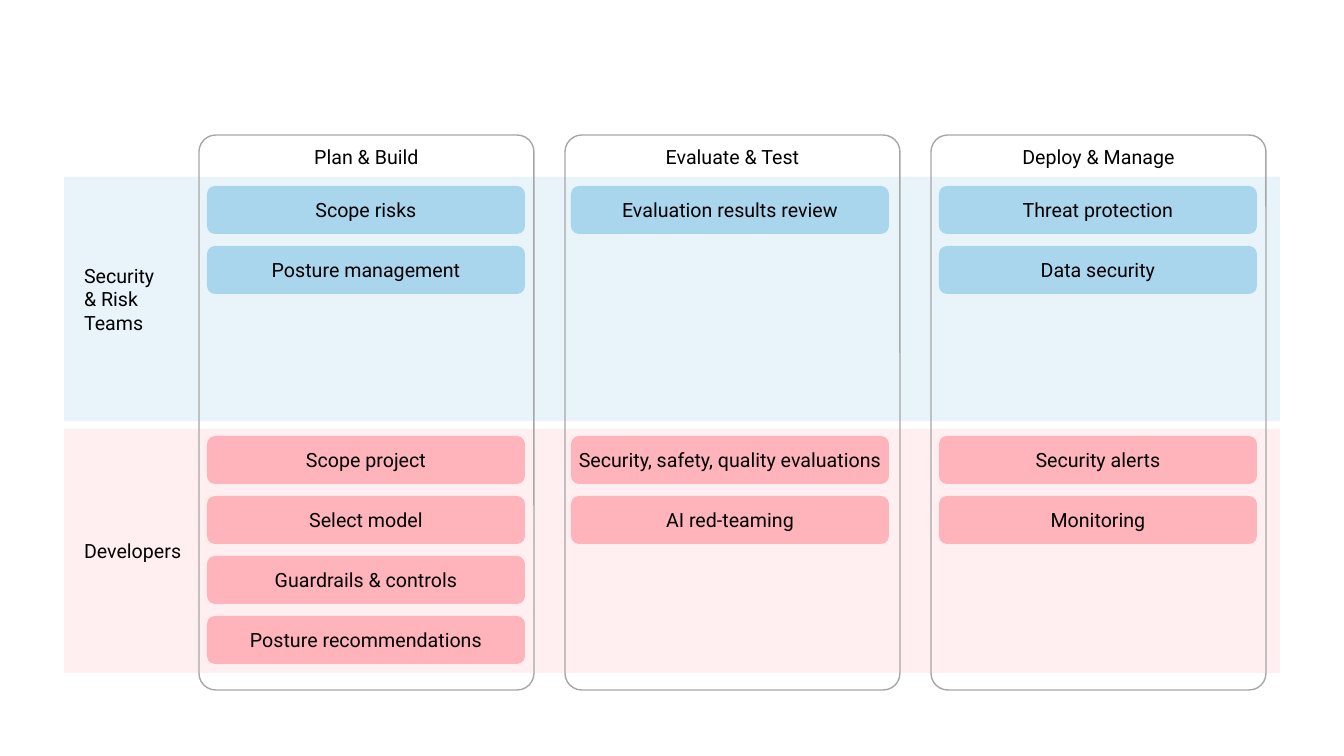
from dataclasses import dataclass
from typing import NamedTuple

from lxml import etree
from pptx import Presentation
from pptx import util as u
from pptx.dml.color import RGBColor
from pptx.enum import shapes, text
from pptx.oxml.ns import qn

PX = 914400 / 100.8


@dataclass(frozen=True)
class Theme:
    ink: str = "000000"
    outline: str = "A6A6A6"
    outline_pt: int = 1
    font: str = "Roboto"
    text_pt: int = 14
    band_alpha: int = 20


class Box(NamedTuple):
    left: int
    top: int
    width: int
    height: int


class Team(NamedTuple):
    label: str
    band_color: str
    card_color: str
    card_inset: int


class Phase(NamedTuple):
    title: str
    card_inset: int
    tasks: tuple[tuple[str, ...], ...]  # one group per team


THEME = Theme()
BAND = Box(64, 177, 1216, 244)
BAND_PITCH = 252
COLUMN = Box(199, 135, 335, 555)
COLUMN_PITCH = 366
CARD_WIDTH, CARD_HEIGHT, CARD_PITCH = 318, 48, 60

TEAMS = (
    Team("Security\v& Risk\vTeams", "8DC8E8", "A9D5ED", 9),
    Team("Developers", "FFB3BB", "FFB3BB", 7),
)
PHASES = (
    Phase("Plan & Build", 8, (
        ("Scope risks", "Posture management"),
        ("Scope project", "Select model", "Guardrails & controls",
         "Posture recommendations"),
    )),
    Phase("Evaluate & Test", 6, (
        ("Evaluation results review",),
        ("Security, safety, quality evaluations", "AI red-teaming"),
    )),
    Phase("Deploy & Manage", 8, (
        ("Threat protection", "Data security"),
        ("Security alerts", "Monitoring"),
    )),
)

TOP, MIDDLE = text.MSO_ANCHOR.TOP, text.MSO_ANCHOR.MIDDLE
LEFT, CENTER = text.PP_ALIGN.LEFT, text.PP_ALIGN.CENTER
RECT = shapes.MSO_SHAPE.RECTANGLE
ROUNDED = shapes.MSO_SHAPE.ROUNDED_RECTANGLE


def px(length: float) -> int:
    return round(length * PX)


def add_panel(slide, kind, box: Box, caption: str, align, anchor,
              margins: tuple[int, int] = (10, 10)):
    """Add an unfilled, unlined shape with a caption; margins are left and right."""
    panel = slide.shapes.add_shape(kind, *map(px, box))
    panel.shadow.inherit = False
    panel.fill.background()
    panel.line.fill.background()
    frame = panel.text_frame
    frame_format = {
        "word_wrap": True,
        "vertical_anchor": anchor,
        "margin_left": px(margins[0]),
        "margin_right": px(margins[1]),
        "margin_top": px(5),
        "margin_bottom": px(5),
    }
    for name, value in frame_format.items():
        setattr(frame, name, value)
    paragraph = frame.paragraphs[0]
    paragraph.text = caption
    paragraph.alignment = align
    for run in paragraph.runs:
        for name, value in {"name": THEME.font, "size": u.Pt(THEME.text_pt)}.items():
            setattr(run.font, name, value)
        run.font.color.rgb = RGBColor.from_string(THEME.ink)
    return panel


def fill_panel(panel, color: str, alpha: int = 100) -> None:
    panel.fill.solid()
    panel.fill.fore_color.rgb = RGBColor.from_string(color)
    if alpha < 100:
        tint = panel.fill._xPr.find(qn("a:solidFill")).find(qn("a:srgbClr"))
        etree.SubElement(tint, qn("a:alpha")).set("val", str(alpha * 1000))


def add_band(slide, row: int, team: Team) -> None:
    box = BAND._replace(top=BAND.top + row * BAND_PITCH)
    band = add_panel(slide, RECT, box, team.label, LEFT, MIDDLE, (20, 10))
    fill_panel(band, team.band_color, THEME.band_alpha)


def add_column(slide, index: int, phase: Phase) -> None:
    box = COLUMN._replace(left=COLUMN.left + index * COLUMN_PITCH)
    column = add_panel(slide, ROUNDED, box, phase.title, CENTER, TOP)
    column.adjustments[0] = 0.05
    column.line.color.rgb = RGBColor.from_string(THEME.outline)
    column.line.width = u.Pt(THEME.outline_pt)


def add_cards(slide, index: int, phase: Phase) -> None:
    left = COLUMN.left + index * COLUMN_PITCH + phase.card_inset
    for row, (team, tasks) in enumerate(zip(TEAMS, phase.tasks)):
        first_top = BAND.top + row * BAND_PITCH + team.card_inset
        for position, task in enumerate(tasks):
            box = Box(left, first_top + position * CARD_PITCH, CARD_WIDTH, CARD_HEIGHT)
            card = add_panel(slide, ROUNDED, box, task, CENTER, MIDDLE, (0, 0))
            fill_panel(card, team.card_color)


def main() -> None:
    deck = Presentation()
    deck.slide_width, deck.slide_height = px(1344), px(756)
    slide = deck.slides.add_slide(deck.slide_layouts[6])
    for row, team in enumerate(TEAMS):
        add_band(slide, row, team)
    for index, phase in enumerate(PHASES):
        add_column(slide, index, phase)
        add_cards(slide, index, phase)
    deck.save("out.pptx")


if __name__ == "__main__":
    main()
